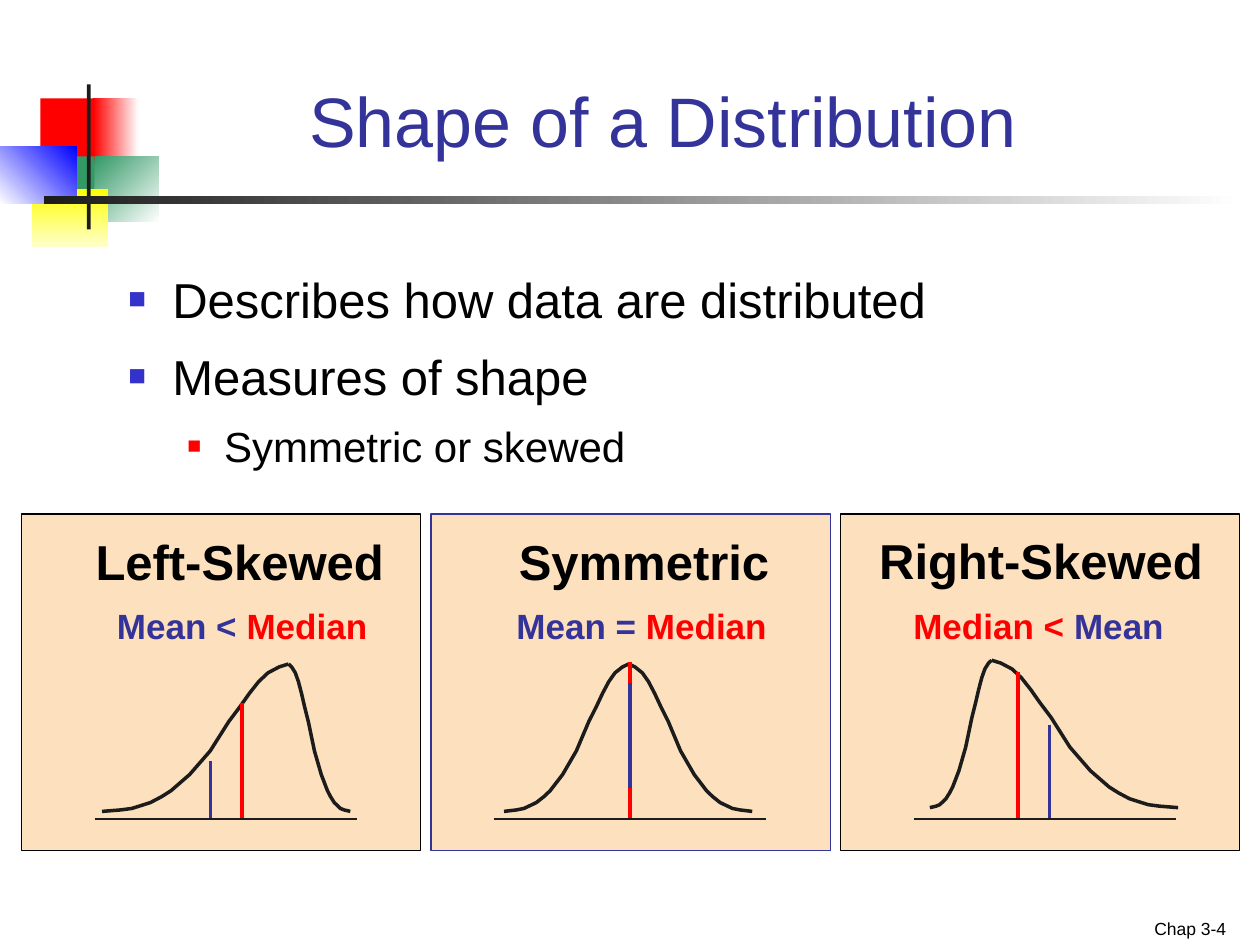
import pptx
import pptx.dml.color
import pptx.enum.shapes
import pptx.enum.text
import pptx.oxml.ns
import pptx.util
from lxml import etree

Inches = pptx.util.Inches
Pt = pptx.util.Pt
Align = pptx.enum.text.PP_ALIGN
Anchor = pptx.enum.text.MSO_ANCHOR
AutoSize = pptx.enum.text.MSO_AUTO_SIZE
qn = pptx.oxml.ns.qn

BLACK, INK, NAVY, RED = "000000", "1C1C1C", "333399", "FF0000"
GREEN, YELLOW, WHITE, PEACH = "339966", "FFFF00", "FFFFFF", "FDE0BD"

CURVE_HEIGHT = 1.17
HALF_CURVE = [
    (0, 0), (0.1, 0.01), (0.16, 0.02), (0.21, 0.04), (0.26, 0.06), (0.32, 0.1),
    (0.37, 0.14), (0.47, 0.25), (0.58, 0.41), (0.68, 0.61), (0.74, 0.71),
    (0.79, 0.8), (0.84, 0.88), (0.89, 0.94), (0.95, 0.98), (1, 1),
]


def color(hex_string):
    return pptx.dml.color.RGBColor.from_string(hex_string)


class SlideBuilder:
    font = "Arial"

    def __init__(self, slide):
        self.slide = slide

    def rectangle(self, left, top, width, height, fill, end=None, angle=0, line=None):
        shape = self.slide.shapes.add_shape(
            pptx.enum.shapes.MSO_SHAPE.RECTANGLE,
            Inches(left), Inches(top), Inches(width), Inches(height))
        shape.shadow.inherit = False
        if end:
            shape.fill.gradient()
            shape.fill.gradient_angle = -angle % 360
            for stop, stop_color in zip(shape.fill.gradient_stops, (fill, end)):
                stop.color.rgb = color(stop_color)
        else:
            shape.fill.solid()
            shape.fill.fore_color.rgb = color(fill)
        if line:
            shape.line.color.rgb = color(line)
            shape.line.width = Pt(0.75)
        else:
            shape.line.fill.background()

    def line(self, x1, y1, x2, y2, line_color, width):
        connector = self.slide.shapes.add_connector(
            pptx.enum.shapes.MSO_CONNECTOR.STRAIGHT,
            Inches(x1), Inches(y1), Inches(x2), Inches(y2))
        connector.line.color.rgb = color(line_color)
        connector.line.width = Pt(width)
        etree.SubElement(connector._element.spPr, qn("a:effectLst"))

    def half_curve(self, foot, peak, top):
        points = [(Inches(foot + (peak - foot) * across),
                   Inches(top + CURVE_HEIGHT * (1 - up)))
                  for across, up in HALF_CURVE]
        builder = self.slide.shapes.build_freeform(*points[0])
        builder.add_line_segments(points[1:], close=False)
        shape = builder.convert_to_shape()
        shape.shadow.inherit = False
        shape.fill.background()
        shape.line.color.rgb = color(INK)
        shape.line.width = Pt(2)

    def text_box(self, left, top, width, height, wrap=True, anchor=Anchor.TOP):
        box = self.slide.shapes.add_textbox(
            Inches(left), Inches(top), Inches(width), Inches(height))
        frame = box.text_frame
        frame.word_wrap = wrap
        frame.auto_size = AutoSize.NONE if wrap else AutoSize.SHAPE_TO_FIT_TEXT
        frame.vertical_anchor = anchor
        return frame

    def add_runs(self, paragraph, runs, size, bold=False):
        for text, text_color in runs:
            run = paragraph.add_run()
            run.text = text
            run.font.name = self.font
            run.font.size = Pt(size)
            run.font.bold = bold
            run.font.color.rgb = color(text_color)

    def label(self, left, top, width, height, runs, size, bold=False, wrap=False,
              align=Align.LEFT, anchor=Anchor.TOP):
        frame = self.text_box(left, top, width, height, wrap, anchor)
        paragraph = frame.paragraphs[0]
        paragraph.alignment = align
        self.add_runs(paragraph, runs, size, bold)
        return paragraph

    def bullet(self, paragraph, text, level):
        size, before, margin, indent, bullet_color, percent = (
            (28, 7, 0.35, -0.35, "3333CC", 60),
            (24, 6, 0.76, -0.29, RED, 55))[level]
        paragraph.level = level
        paragraph.line_spacing = 1.1
        paragraph.space_before = Pt(before)
        properties = paragraph._p.get_or_add_pPr()
        properties.set("marL", str(Inches(margin)))
        properties.set("indent", str(Inches(indent)))
        bullet_fill = etree.SubElement(properties, qn("a:buClr"))
        etree.SubElement(bullet_fill, qn("a:srgbClr"), val=bullet_color)
        etree.SubElement(properties, qn("a:buSzPct"), val=str(percent * 1000))
        etree.SubElement(properties, qn("a:buFont"), typeface=self.font)
        etree.SubElement(properties, qn("a:buChar"), char="■")
        self.add_runs(paragraph, [(text, BLACK)], size)

    def bullets(self, left, top, width, height, items):
        frame = self.text_box(left, top, width, height)
        for index, (text, level) in enumerate(items):
            paragraph = frame.add_paragraph() if index else frame.paragraphs[0]
            self.bullet(paragraph, text, level)


def add_decoration(builder):
    builder.rectangle(0.32, 0.78, 0.48, 0.52, RED)
    builder.rectangle(0.74, 0.78, 0.36, 0.52, RED, WHITE)
    builder.rectangle(0.75, 1.24, 0.51, 0.52, GREEN, WHITE, 45)
    builder.rectangle(0.43, 1.24, 0.32, 0.52, GREEN)
    builder.rectangle(0.25, 1.5, 0.61, 0.46, YELLOW, "FFFFCC", 90)
    builder.rectangle(0, 1.16, 0.61, 0.46, WHITE, "0000FF", 315)
    builder.rectangle(0.69, 0.67, 0.03, 1.15, INK)
    builder.rectangle(0.35, 1.56, 9.51, 0.06, INK, WHITE)


def add_panel(builder, index, border, heading, relation, curve, axis, markers):
    builder.rectangle(0.17 + 3.25 * index, 4.08, 3.17, 2.67, PEACH, line=border)
    left_foot, peak, right_foot, top = curve
    for foot in (right_foot, left_foot):
        builder.half_curve(foot, peak, top)
    relation_left, runs = relation
    builder.label(relation_left, 4.75, 2.19, 0.43, runs, 20, bold=True)
    for x, start, end, marker_color in markers:
        builder.line(x, start, x, end, marker_color, 2)
    builder.line(axis[0], 6.5, axis[1], 6.5, INK, 1)
    text, left, heading_top, width = heading
    builder.label(left, heading_top, width, 0.56, [(text, BLACK)], 28, bold=True)


def main():
    presentation = pptx.Presentation()
    presentation.slide_width = Inches(10)
    presentation.slide_height = Inches(7.5)
    builder = SlideBuilder(presentation.slides.add_slide(presentation.slide_layouts[6]))

    add_decoration(builder)
    title = builder.label(1, 0.25, 8.52, 1.08, [("Shape of a Distribution", NAVY)], 40,
                          wrap=True, align=Align.CENTER, anchor=Anchor.BOTTOM)
    title.line_spacing = 0.8
    builder.bullets(0.92, 2.04, 8.83, 1.9, [
        ("Describes how data are distributed", 0),
        ("Measures of shape", 0),
        ("Symmetric or skewed", 1),
    ])

    add_panel(builder, 0, BLACK, ("Left-Skewed", 0.66, 4.17, 2.49),
              (0.83, [("Mean <", NAVY), (" Median", RED)]),
              (0.81, 2.29, 2.78, 5.27), (0.75, 2.83),
              [(1.92, 5.58, 6.5, RED), (1.67, 6.04, 6.5, NAVY)])
    add_panel(builder, 1, NAVY, ("Symmetric", 4.02, 4.17, 2.2),
              (4, [("Mean =", NAVY), (" Median", RED)]),
              (4, 4.99, 5.97, 5.27), (3.92, 6.08),
              [(5, 5.25, 6.5, RED), (5, 5.42, 6.25, NAVY)])
    add_panel(builder, 2, BLACK, ("Right-Skewed", 6.88, 4.16, 2.77),
              (7.15, [("Median < ", RED), ("Mean", NAVY)]),
              (7.38, 7.87, 9.35, 5.24), (7.25, 9.33),
              [(8.08, 5.33, 6.5, RED), (8.33, 5.75, 6.5, NAVY)])

    builder.label(7.5, 7.15, 2.33, 0.35, [("Chap 3-4", BLACK)], 10,
                  wrap=True, align=Align.RIGHT, anchor=Anchor.BOTTOM)
    presentation.save("out.pptx")


if __name__ == "__main__":
    main()
